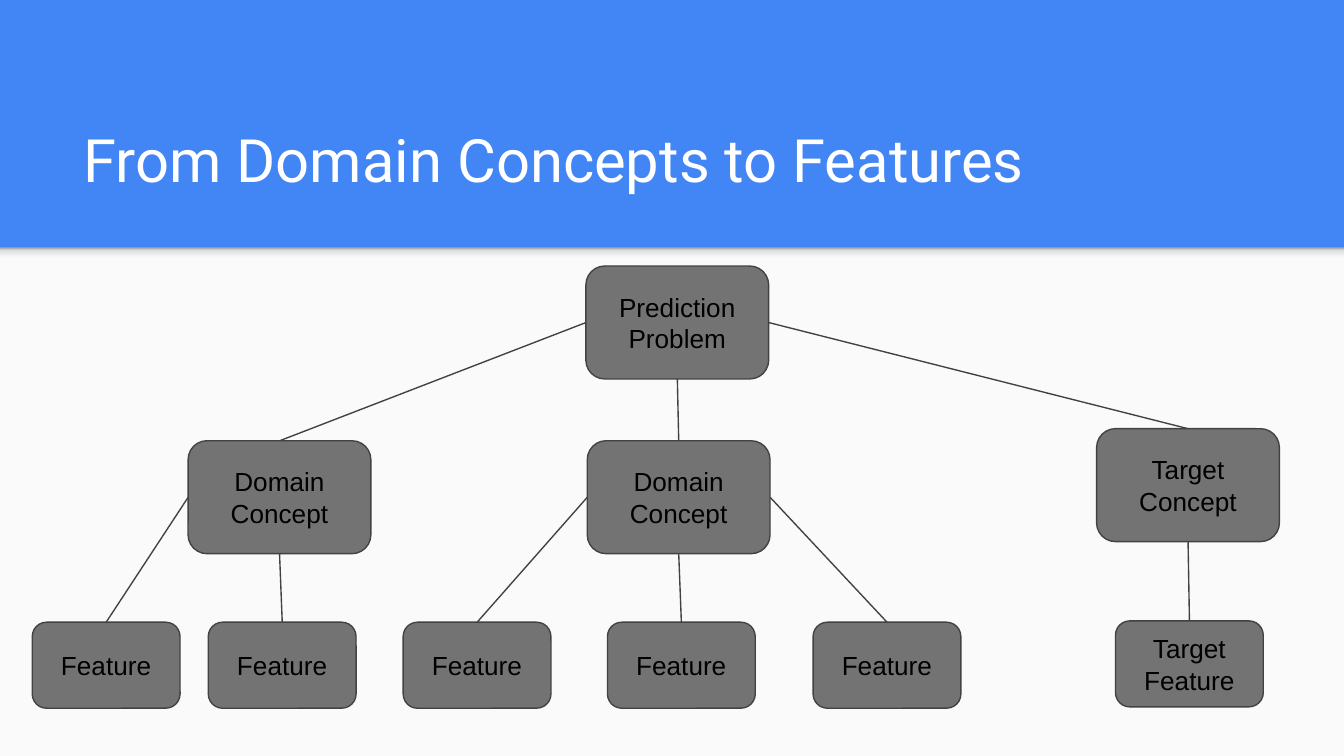
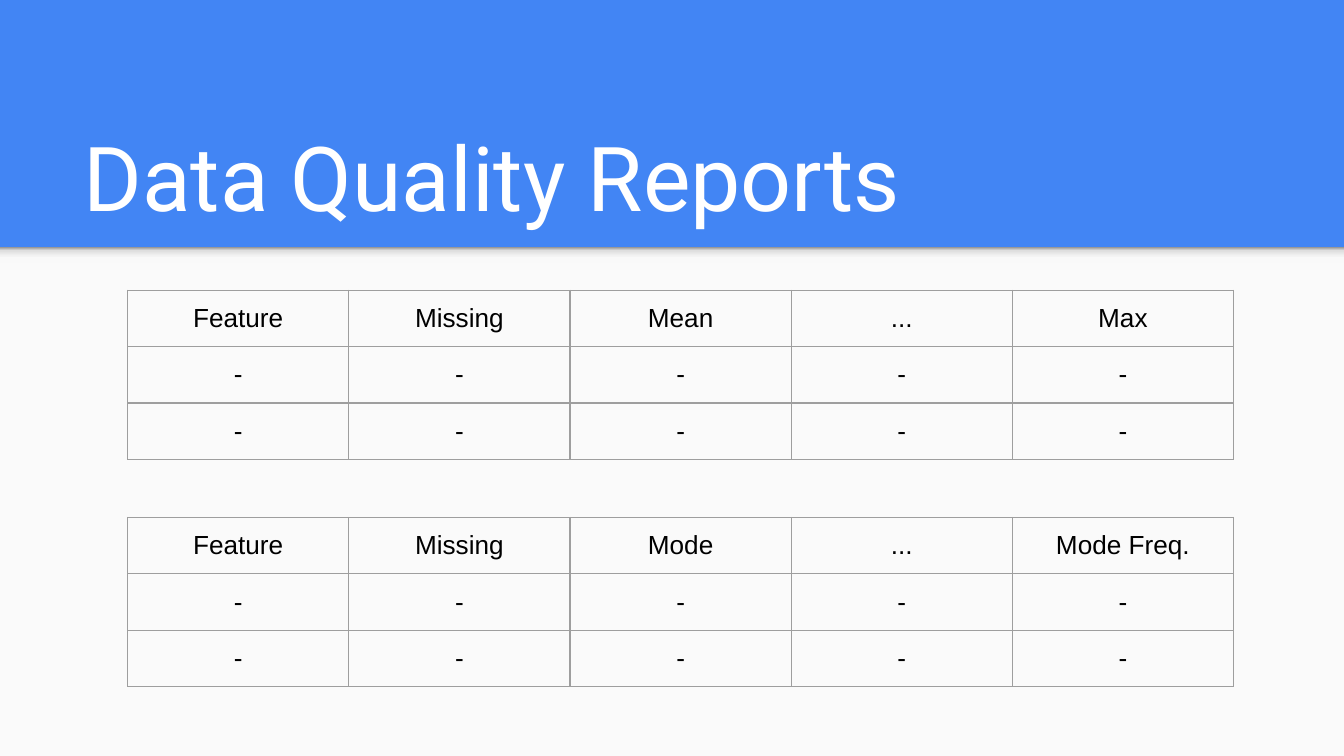
from dataclasses import dataclass
from typing import Optional

from lxml.etree import SubElement
from pptx import Presentation
from pptx.dml.color import RGBColor
from pptx.enum.shapes import MSO_CONNECTOR, MSO_SHAPE
from pptx.enum.text import MSO_ANCHOR, MSO_AUTO_SIZE, PP_ALIGN
from pptx.oxml.ns import qn
from pptx.util import Inches, Pt

WIDTH = Inches(10)
HEIGHT = WIDTH * 9 // 16
UNIT = WIDTH // 100
MARGIN = Inches(0.1)
BAND_HEIGHT = 18.4
SHADE_HEIGHT = 1.2

BLUE = RGBColor(0x42, 0x85, 0xF4)
PAPER = RGBColor(0xFA, 0xFA, 0xFA)
WHITE = RGBColor(0xFF, 0xFF, 0xFF)
BLACK = RGBColor(0x00, 0x00, 0x00)
BOX_GREY = RGBColor(0x73, 0x73, 0x73)
LINE_GREY = RGBColor(0x42, 0x42, 0x42)
BORDER_GREY = RGBColor(0x9E, 0x9E, 0x9E)
SHADE_STOPS = (
    (0, RGBColor(0xF9, 0xF9, 0xF9)),
    (36, RGBColor(0xF9, 0xF9, 0xF9)),
    (80, RGBColor(0xDE, 0xDE, 0xDE)),
    (100, RGBColor(0x99, 0x99, 0x99)),
)
THIN = Pt(0.75)


@dataclass(frozen=True)
class BoxSize:
    """Width and height of a box in grid units."""

    width: float
    height: float


CONCEPT = BoxSize(13.6, 8.4)
FEATURE = BoxSize(11, 6.4)


@dataclass(frozen=True)
class Node:
    """A box of the tree, placed by grid column and row, under a parent."""

    text: str
    column: float
    row: float
    size: BoxSize
    parent: Optional["Node"] = None


@dataclass(frozen=True)
class Report:
    """A report table: its top row on the grid and its headings."""

    row: float
    headings: tuple[str, ...]


PROBLEM = Node("Prediction Problem", 43.6, 19.8, CONCEPT)
LEFT_DOMAIN = Node("Domain Concept", 14, 32.8, CONCEPT, PROBLEM)
MIDDLE_DOMAIN = Node("Domain Concept", 43.7, 32.8, CONCEPT, PROBLEM)
TARGET = Node("Target Concept", 81.6, 31.9, CONCEPT, PROBLEM)
TREE = (
    PROBLEM,
    LEFT_DOMAIN,
    MIDDLE_DOMAIN,
    TARGET,
    *(Node("Feature", column, 46.3, FEATURE, LEFT_DOMAIN) for column in (2.4, 15.5)),
    *(Node("Feature", column, 46.3, FEATURE, MIDDLE_DOMAIN) for column in (30, 45.2, 60.5)),
    Node("Target Feature", 83, 46.2, FEATURE, TARGET),
)

REPORTS = (
    Report(21.6, ("Feature", "Missing", "Mean", "...", "Max")),
    Report(38.5, ("Feature", "Missing", "Mode", "...", "Mode Freq.")),
)
REPORT_COLUMN = 9.5
REPORT_WIDTH = 82.3
REPORT_ROW_HEIGHT = 4.2
EMPTY_ROWS = 2


def grid(*counts: float) -> list[int]:
    """Turn grid counts into lengths."""
    return [round(count * UNIT) for count in counts]


def style_paragraph(para, name: str, size: float, color: RGBColor, align) -> None:
    """Set the font and alignment of a paragraph."""
    para.alignment = align
    para.font.name = name
    para.font.size = Pt(size)
    para.font.color.rgb = color


def set_margins(holder) -> None:
    """Give a text frame or a cell the same margin on all sides."""
    holder.margin_left = holder.margin_right = MARGIN
    holder.margin_top = holder.margin_bottom = MARGIN


def add_color(parent, color: RGBColor) -> None:
    """Append an RGB colour element."""
    SubElement(parent, qn("a:srgbClr"), val=str(color))


def decorate_layout(layout, page) -> None:
    """Draw the pale panel and its shade, and move them to the layout."""
    panel = page.shapes.add_shape(
        MSO_SHAPE.RECTANGLE, 0, *grid(BAND_HEIGHT), WIDTH, HEIGHT - grid(BAND_HEIGHT)[0])
    panel.fill.solid()
    panel.fill.fore_color.rgb = PAPER
    shade = page.shapes.add_shape(
        MSO_SHAPE.RECTANGLE, *grid(0, BAND_HEIGHT, 100, SHADE_HEIGHT))
    shade.fill.gradient()
    shade.fill.gradient_angle = 90
    stops = shade.element.spPr.find(qn("a:gradFill")).find(qn("a:gsLst"))
    for stop in list(stops):
        stops.remove(stop)
    for percent, color in SHADE_STOPS:
        add_color(SubElement(stops, qn("a:gs"), pos=str(percent * 1000)), color)
    for shape in (panel, shade):
        shape.line.fill.background()
        shape.shadow.inherit = False
        layout.shapes.element.append(shape.element)


def add_page(deck, layout, title: str, size: float):
    """Add a page with its white title in the blue band."""
    page = deck.slides.add_slide(layout)
    heading = page.shapes.title
    heading.left, heading.top, heading.width, heading.height = grid(5.2, 8.1, 89.9, 8.4)
    frame = heading.text_frame
    frame.text = title
    frame.auto_size = MSO_AUTO_SIZE.NONE
    frame.word_wrap = True
    frame.vertical_anchor = MSO_ANCHOR.TOP
    set_margins(frame)
    para = frame.paragraphs[0]
    style_paragraph(para, "Roboto", size, WHITE, PP_ALIGN.LEFT)
    para.space_after = Pt(10)
    return page


def add_box(page, node: Node):
    """Draw the rounded box of a node."""
    box = page.shapes.add_shape(
        MSO_SHAPE.ROUNDED_RECTANGLE,
        *grid(node.column, node.row, node.size.width, node.size.height))
    box.shadow.inherit = False
    box.fill.solid()
    box.fill.fore_color.rgb = BOX_GREY
    box.line.color.rgb = LINE_GREY
    box.line.width = THIN
    frame = box.text_frame
    frame.text = node.text
    frame.word_wrap = True
    frame.vertical_anchor = MSO_ANCHOR.MIDDLE
    set_margins(frame)
    style_paragraph(frame.paragraphs[0], "Arial", 14, BLACK, PP_ALIGN.CENTER)
    return box


def link_boxes(page, parent, child) -> None:
    """Join the parent's side nearest the child to the child's top."""
    offset = child.left + child.width / 2 - parent.left - parent.width / 2
    side = 2
    if abs(offset) > parent.width / 2:
        side = 1 if offset < 0 else 3
    link = page.shapes.add_connector(MSO_CONNECTOR.STRAIGHT, 0, 0, 0, 0)
    link.begin_connect(parent, side)
    link.end_connect(child, 0)
    link.line.color.rgb = LINE_GREY
    link.line.width = THIN
    SubElement(link.element.spPr, qn("a:effectLst"))


def draw_tree(page) -> None:
    """Draw all boxes of the tree, then the lines between them."""
    boxes = {node: add_box(page, node) for node in TREE}
    for node, box in boxes.items():
        if node.parent:
            link_boxes(page, boxes[node.parent], box)


def format_cell(cell, text: str) -> None:
    """Fill one cell with centred text inside thin grey borders."""
    cell.text = text
    set_margins(cell)
    style_paragraph(cell.text_frame.paragraphs[0], "Arial", 14, BLACK, PP_ALIGN.CENTER)
    properties = cell._tc.get_or_add_tcPr()
    for side in ("L", "R", "T", "B"):
        border = SubElement(properties, qn(f"a:ln{side}"), w=str(THIN))
        add_color(SubElement(border, qn("a:solidFill")), BORDER_GREY)
    cell.fill.background()


def draw_report(page, report: Report) -> None:
    """Draw a report table with headings and empty rows."""
    count = len(report.headings)
    rows = [report.headings] + [("-",) * count] * EMPTY_ROWS
    table = page.shapes.add_table(
        len(rows), count,
        *grid(REPORT_COLUMN, report.row, REPORT_WIDTH, REPORT_ROW_HEIGHT * len(rows))).table
    table.first_row = table.horz_banding = False
    for row, texts in enumerate(rows):
        for column, text in enumerate(texts):
            format_cell(table.cell(row, column), text)


def main() -> None:
    """Build and save the deck."""
    deck = Presentation()
    deck.slide_width, deck.slide_height = WIDTH, HEIGHT
    background = deck.slide_master.background.fill
    background.solid()
    background.fore_color.rgb = BLUE
    layout = deck.slide_layouts.get_by_name("Title Only")

    concepts = add_page(deck, layout, "From Domain Concepts to Features", 32)
    decorate_layout(layout, concepts)
    draw_tree(concepts)

    quality = add_page(deck, layout, "Data Quality Reports", 48)
    for report in REPORTS:
        draw_report(quality, report)
    deck.save("out.pptx")


if __name__ == "__main__":
    main()
